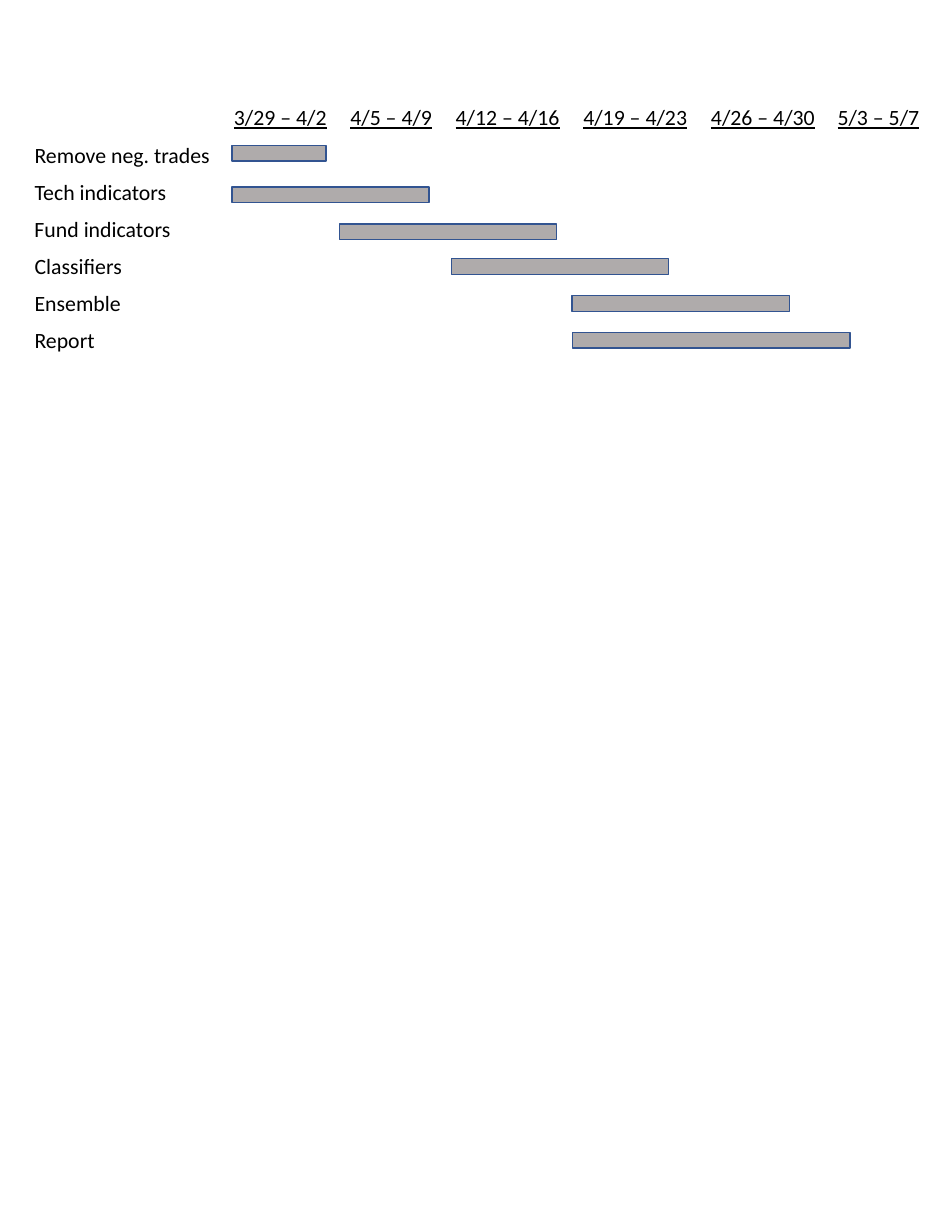
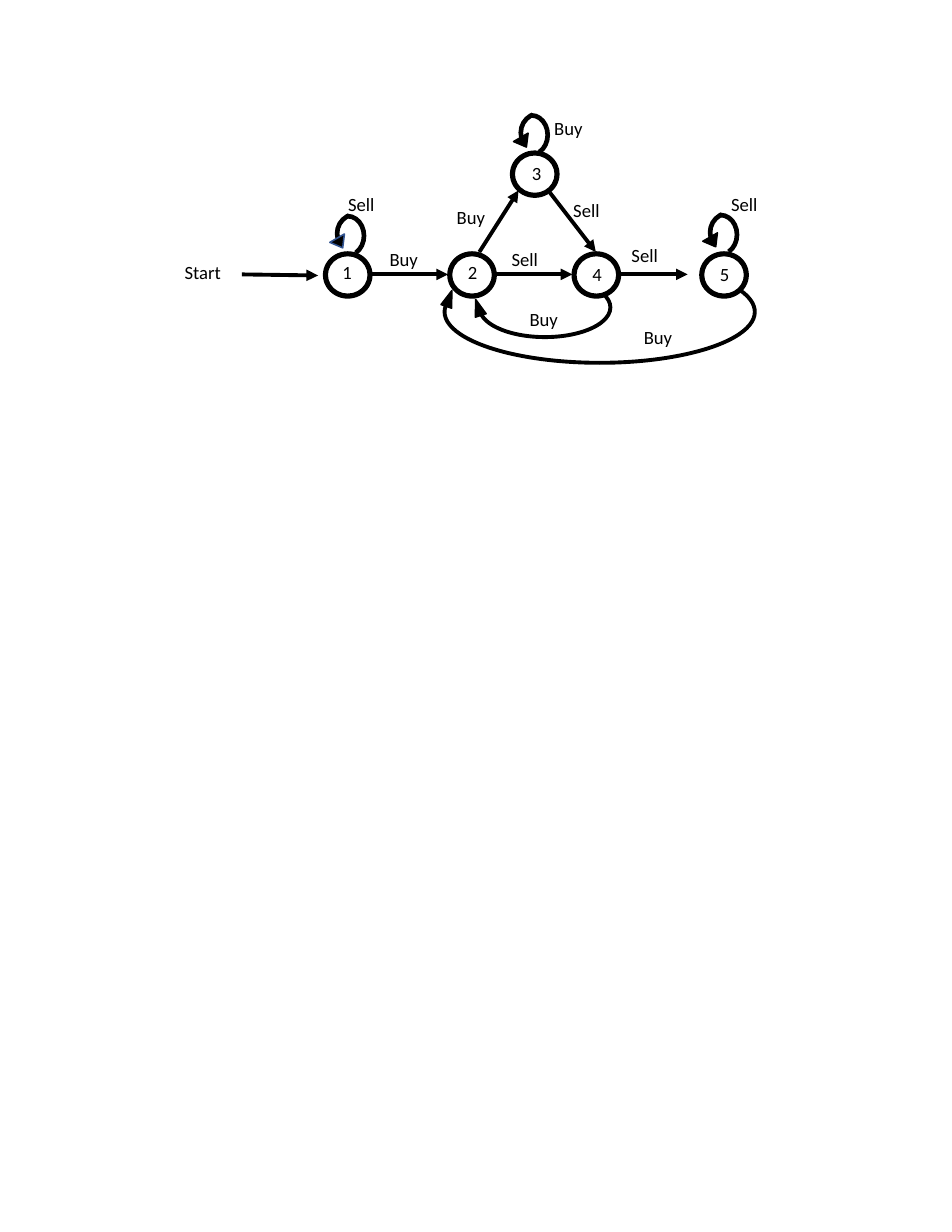
import pptx
import pptx.util
import pptx.dml.color
import pptx.enum.shapes
import pptx.enum.text
import pptx.oxml.ns
import lxml.etree

Inches = pptx.util.Inches
Pt = pptx.util.Pt
SHAPES = pptx.enum.shapes.MSO_SHAPE

FONT = "Calibri"
BLACK = "000000"
BAR_GRAY = "AFABAB"
EDGE_BLUE = "325491"

WEEK_TOP = 0.88
WEEKS = [
    ("3/29 – 4/2", 1.99, 1.04),
    ("4/5 – 4/9", 3.03, 0.94),
    ("4/12 – 4/16", 3.97, 1.14),
    ("4/19 – 4/23", 5.11, 1.14),
    ("4/26 – 4/30", 6.25, 1.14),
    ("5/3 – 5/7", 7.38, 0.94),
]

TASK_LEFT, TASK_TOP, TASK_STEP = 0.21, 1.22, 0.33
TASKS = [
    ("Remove neg. trades", 1.78, 2.07, 1.3, 0.84),
    ("Tech indicators", 1.39, 2.07, 1.67, 1.76),
    ("Fund indicators", 1.43, 3.03, 2.0, 1.94),
    ("Classifiers", 0.99, 4.03, 2.31, 1.94),
    ("Ensemble", 0.98, 5.11, 2.64, 1.94),
    ("Report", 0.75, 5.11, 2.97, 2.48),
]

STATES = [
    ("1", 2.89, 2.25, 0.07, 0.03, 0.36),
    ("2", 4.0, 2.25, 0.08, 0.03, 0.26),
    ("4", 5.11, 2.25, 0.08, 0.05, 0.26),
    ("5", 6.25, 2.25, 0.08, 0.05, 0.26),
    ("3", 4.56, 1.35, 0.09, 0.05, 0.26),
]

ARROWS = [
    (2.16, 2.45, 2.84, 2.46),
    (3.31, 2.45, 4.0, 2.45),
    (4.4, 2.45, 5.11, 2.45),
    (5.54, 2.45, 6.14, 2.45),
    (4.28, 2.25, 4.63, 1.7),
    (4.91, 1.72, 5.32, 2.25),
]

LOOPS = [
    (2.96, 1.93, EDGE_BLUE),
    (4.6, 1.03, BLACK),
    (6.29, 1.92, BLACK),
]

ACTIONS = [
    ("Sell", 3.01, 1.67),
    ("Buy", 3.38, 2.16),
    ("Buy", 3.98, 1.79),
    ("Sell", 4.47, 2.16),
    ("Sell", 5.02, 1.73),
    ("Buy", 4.85, 0.99),
    ("Sell", 5.54, 2.13),
    ("Sell", 6.43, 1.67),
    ("Buy", 4.63, 2.7),
    ("Buy", 5.65, 2.86),
]


def color(value):
    return pptx.dml.color.RGBColor.from_string(value)


def add_label(page, text, left, top, width, size, wrap=True, underline=False):
    height = 0.34 if size == 14 else 0.3
    box = page.shapes.add_textbox(Inches(left), Inches(top), Inches(width), Inches(height))
    frame = box.text_frame
    frame.word_wrap = wrap
    frame.auto_size = pptx.enum.text.MSO_AUTO_SIZE.SHAPE_TO_FIT_TEXT
    span = frame.paragraphs[0].add_run()
    span.text = text
    span.font.name = FONT
    span.font.size = Pt(size)
    span.font.color.rgb = color(BLACK)
    if underline:
        span.font.underline = True


def add_figure(parent, kind, left, top, width, height, fill=None, line=BLACK,
               weight=1, rotation=0, adjustments=()):
    figure = parent.shapes.add_shape(
        kind, Inches(left), Inches(top), Inches(width), Inches(height))
    figure.shadow.inherit = False
    if fill:
        figure.fill.solid()
        figure.fill.fore_color.rgb = color(fill)
    else:
        figure.fill.background()
    figure.line.color.rgb = color(line)
    figure.line.width = Pt(weight)
    figure.rotation = rotation
    for index, value in enumerate(adjustments):
        figure.adjustments[index] = value


def add_arrow(page, x1, y1, x2, y2):
    arrow = page.shapes.add_connector(
        pptx.enum.shapes.MSO_CONNECTOR.STRAIGHT,
        Inches(x1), Inches(y1), Inches(x2), Inches(y2))
    arrow.line.color.rgb = color(BLACK)
    arrow.line.width = Pt(2.5)
    qn = pptx.oxml.ns.qn
    properties = arrow.line._get_or_add_ln()
    lxml.etree.SubElement(properties, qn("a:tailEnd"), type="triangle")
    lxml.etree.SubElement(arrow._element.spPr, qn("a:effectLst"))


def add_state(page, name, left, top, name_dx, name_dy, name_width):
    add_figure(page, SHAPES.DONUT, left, top, 0.43, 0.41, BLACK, adjustments=[0.077])
    add_label(page, name, left + name_dx, top + name_dy, name_width, 12)


def add_loop(page, left, top, head_edge):
    loop = page.shapes.add_group_shape()
    add_figure(loop, SHAPES.ARC, left, top, 0.29, 0.35, weight=3,
               adjustments=[162, 39.07])
    add_figure(loop, SHAPES.ARC, left + 0.05, top - 0.02, 0.35, 0.35, weight=3,
               adjustments=[86.11, 148.14])
    add_figure(loop, SHAPES.ISOSCELES_TRIANGLE, left, top + 0.19, 0.15, 0.1,
               BLACK, head_edge, rotation=150.2)


def add_return(page, arc, angles, arc_rotation, head_left, head_top, head_rotation):
    add_figure(page, SHAPES.ARC, *arc, weight=2.5, rotation=arc_rotation,
               adjustments=angles)
    add_figure(page, SHAPES.ISOSCELES_TRIANGLE, head_left, head_top, 0.1, 0.15,
               BLACK, rotation=head_rotation)


def build_schedule(page):
    for text, left, width in WEEKS:
        add_label(page, text, left, WEEK_TOP, width, 14, wrap=False, underline=True)
    for row, (text, width, start, top, length) in enumerate(TASKS):
        add_label(page, text, TASK_LEFT, TASK_TOP + row * TASK_STEP, width, 14, wrap=False)
        add_figure(page, SHAPES.RECTANGLE, start, top, length, 0.14, BAR_GRAY, EDGE_BLUE)


def build_state_machine(page):
    for state in STATES:
        add_state(page, *state)
    for arrow in ARROWS:
        add_arrow(page, *arrow)
    for loop in LOOPS:
        add_loop(page, *loop)
    add_return(page, (4.28, 2.48, 1.17, 0.53), (99.81, 213.87), 180, 4.22, 2.67, 342.3)
    add_return(page, (3.97, 2.33, 2.77, 0.91), (210.76, 110.43), 0, 3.96, 2.59, 19.2)
    add_label(page, "Start", 1.55, 2.28, 0.57, 12)
    for text, left, top in ACTIONS:
        add_label(page, text, left, top, 0.54, 12)


def main():
    deck = pptx.Presentation()
    deck.slide_width = Inches(8.5)
    deck.slide_height = Inches(11)
    blank = deck.slide_layouts[6]
    for build in (build_schedule, build_state_machine):
        build(deck.slides.add_slide(blank))
    deck.save("out.pptx")


main()
